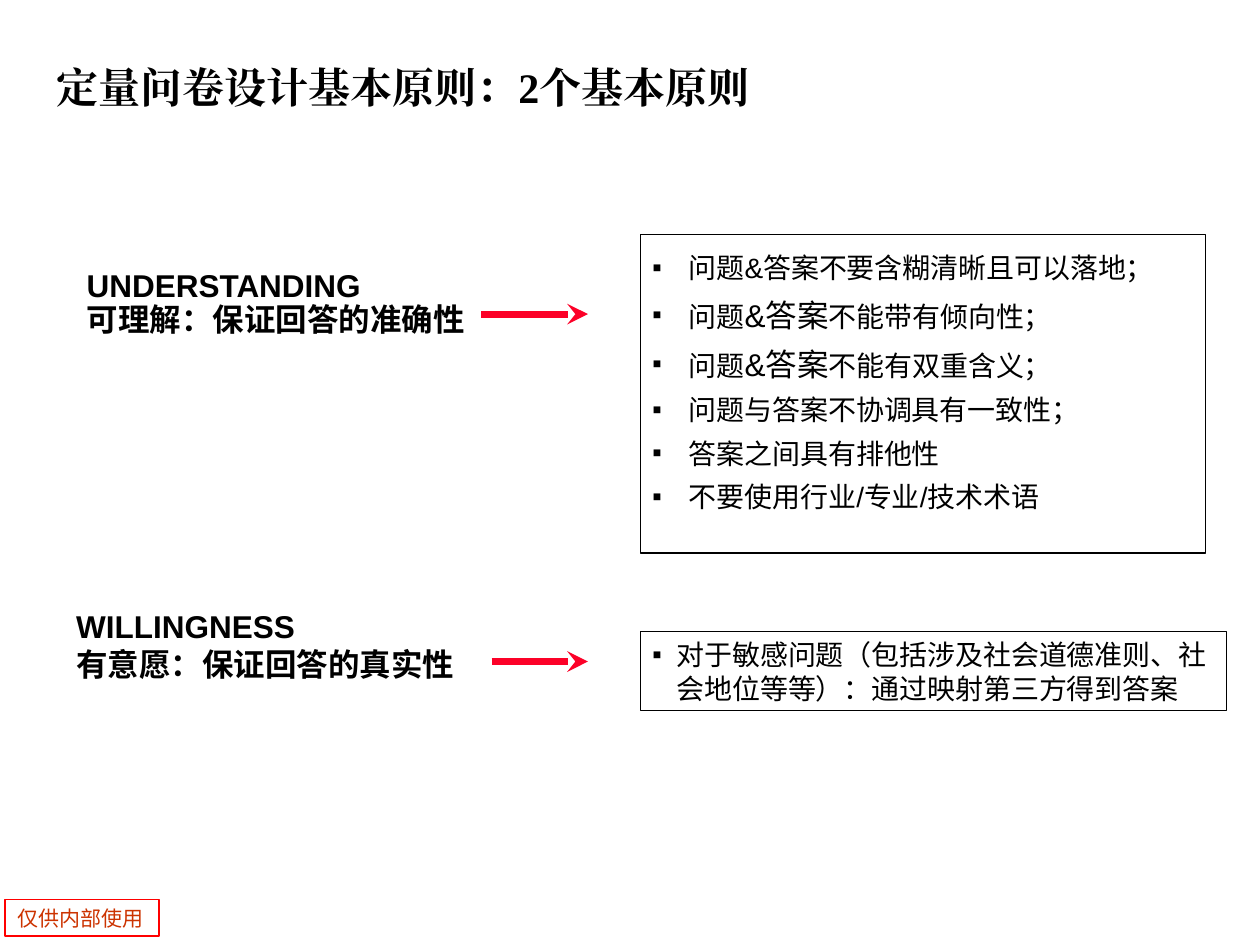
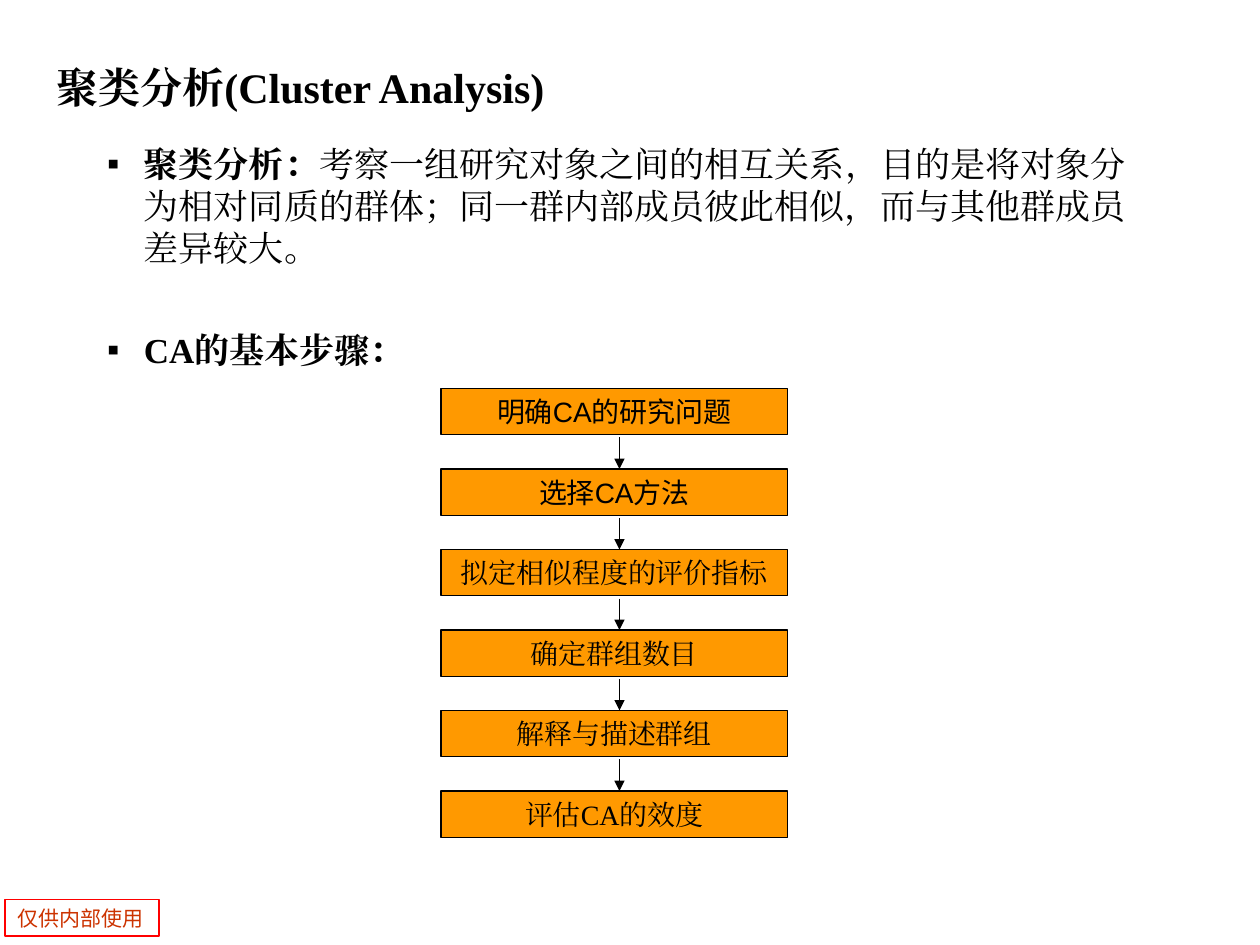
from dataclasses import dataclass, field
from typing import Any

from lxml.etree import SubElement
from pptx import Presentation
from pptx.dml.color import RGBColor
from pptx.enum.lang import MSO_LANGUAGE_ID as Lang
from pptx.enum.shapes import MSO_CONNECTOR as Link, MSO_SHAPE as Form
from pptx.enum.text import MSO_ANCHOR as Anchor, MSO_AUTO_SIZE as Fit, PP_ALIGN as Align
from pptx.oxml.ns import qn
from pptx.util import Pt

HEX = {"ink": "000000", "red": "FF0000", "rust": "CC3300",
       "arrow": "FC0128", "step": "FF9900"}
SANS, SERIF, HAN = "Arial", "Times New Roman", "Noto Sans CJK SC"


@dataclass(frozen=True)
class Box:
    left: float
    top: float
    width: float
    height: float

    def lengths(self) -> list[Pt]:
        return [Pt(n) for n in (self.left, self.top, self.width, self.height)]


@dataclass(frozen=True)
class Run:
    text: str
    size: float
    face: str = SANS
    bold: bool = False
    tint: str = "ink"


@dataclass(frozen=True)
class Bullet:
    mark: str
    hang: float
    scale: int = 100


@dataclass(frozen=True)
class Para:
    runs: list[Run]
    form: dict[str, Any] = field(default_factory=dict)
    bullet: Bullet | None = None


@dataclass(frozen=True)
class Label:
    box: Box
    lines: tuple[str, str]
    space: float


@dataclass(frozen=True)
class Arrow:
    start: tuple[float, float]
    end: tuple[float, float]
    tint: str
    weight: float
    head: str


TITLE = Box(25, 16.5, 680.5, 66)
BODY = Box(54, 78, 612, 150)
TAG = Box(3, 514, 88, 21)
TAG_RUN = Run("仅供内部使用", 12, HAN, tint="rust")

LABELS = [
    Label(Box(42.5, 151, 244, 46), ("UNDERSTANDING", "可理解：保证回答的准确性"), 0.9),
    Label(Box(36.5, 343.5, 244, 50), ("WILLINGNESS", "有意愿：保证回答的真实性"), 1.0),
]
RED_ARROWS = [
    Arrow((275, 179.5), (336, 179.5), "arrow", 4, "stealth"),
    Arrow((281, 378), (336, 378), "arrow", 4, "stealth"),
]
RULES_BOX = Box(366, 134, 323, 182)
RULES = [
    [Run("问题&答案不要含糊清晰且可以落地；", 16)],
    *[[Run("问题", 16), Run("&答案", 18), Run(end, 16)]
      for end in ("不能带有倾向性；", "不能有双重含义；")],
    *[[Run(text, 16)] for text in
      ("问题与答案不协调具有一致性；", "答案之间具有排他性", "不要使用行业/专业/技术术语")],
]
TOUCHY_BOX = Box(366, 361, 335, 45)
TOUCHY = "对于敏感问题（包括涉及社会道德准则、社会地位等等）：通过映射第三方得到答案"

STEPS = [
    ("明确CA的研究问题", SANS),
    ("选择CA方法", SANS),
    ("拟定相似程度的评价指标", SERIF),
    ("确定群组数目", SERIF),
    ("解释与描述群组", SERIF),
    ("评估CA的效度", SERIF),
]
FIRST = Box(252, 222, 198, 26.5)
PITCH = 46
ARROW_X = 354


def shade(name: str) -> RGBColor:
    return RGBColor.from_string(HEX[name])


def apply(target: Any, values: dict[str, Any]) -> None:
    for name, value in values.items():
        setattr(target, name, value)


def add_mark(para: Any, bullet: Bullet) -> None:
    props = para._p.get_or_add_pPr()
    props.set("marL", str(Pt(bullet.hang)))
    props.set("indent", str(-Pt(bullet.hang)))
    SubElement(SubElement(props, qn("a:buClr")), qn("a:srgbClr"), val=HEX["ink"])
    SubElement(props, qn("a:buSzPct"), val=str(bullet.scale * 1000))
    SubElement(props, qn("a:buFont"), typeface=SANS)
    SubElement(props, qn("a:buChar"), char=bullet.mark)


def add_run(para: Any, item: Run) -> None:
    run = para.add_run()
    run.text = item.text
    apply(run.font, {"size": Pt(item.size), "bold": item.bold, "name": item.face,
                     "language_id": Lang.SIMPLIFIED_CHINESE})
    run.font.color.rgb = shade(item.tint)
    SubElement(run.font._element, qn("a:ea"), typeface=item.face)


def write(shape: Any, paras: list[Para], anchor: Anchor = Anchor.TOP) -> None:
    frame = shape.text_frame
    apply(frame, {"word_wrap": True, "auto_size": Fit.NONE, "vertical_anchor": anchor})
    for i, item in enumerate(paras):
        para = frame.add_paragraph() if i else frame.paragraphs[0]
        if item.bullet:
            add_mark(para, item.bullet)
        apply(para, {"alignment": Align.LEFT, "space_before": Pt(0)} | item.form)
        for run in item.runs:
            add_run(para, run)


def place(shape: Any, box: Box) -> None:
    apply(shape, dict(zip(("left", "top", "width", "height"), box.lengths())))


def add_rect(slide: Any, box: Box, fill: str | None = None,
             edge: str = "ink", weight: float = 0.75) -> Any:
    rect = slide.shapes.add_shape(Form.RECTANGLE, *box.lengths())
    rect.shadow.inherit = False
    if fill:
        rect.fill.solid()
        rect.fill.fore_color.rgb = shade(fill)
    else:
        rect.fill.background()
    rect.line.color.rgb = shade(edge)
    rect.line.width = Pt(weight)
    return rect


def add_arrow(slide: Any, arrow: Arrow) -> None:
    ends = [Pt(n) for n in (*arrow.start, *arrow.end)]
    line = slide.shapes.add_connector(Link.STRAIGHT, *ends)
    line.line.color.rgb = shade(arrow.tint)
    line.line.width = Pt(arrow.weight)
    props = line.element.spPr
    SubElement(props.find(qn("a:ln")), qn("a:tailEnd"), type=arrow.head)
    SubElement(props, qn("a:effectLst"))


def add_page(deck: Any, layout: int, title: str) -> Any:
    slide = deck.slides.add_slide(deck.slide_layouts[layout])
    place(slide.shapes.title, TITLE)
    write(slide.shapes.title, [Para([Run(title, 24, SERIF, True)])], Anchor.MIDDLE)
    return slide


def add_tag(deck: Any, slide: Any) -> None:
    """Draw the internal-use tag and move it to the master, which all slides share."""
    tag = add_rect(slide, TAG, edge="red", weight=1)
    write(tag, [Para([TAG_RUN])], Anchor.MIDDLE)
    deck.slide_master.shapes.element.append(tag.element)


def add_rules(deck: Any) -> Any:
    slide = add_page(deck, 5, "定量问卷设计基本原则：2个基本原则")
    for arrow in RED_ARROWS:
        add_arrow(slide, arrow)
    for label in LABELS:
        text = slide.shapes.add_textbox(*label.box.lengths())
        write(text, [Para([Run(line, 18, bold=True)], {"line_spacing": label.space})
                     for line in label.lines])
    write(add_rect(slide, RULES_BOX),
          [Para(runs, {"line_spacing": 1.3}, Bullet("■", 20.5, 50)) for runs in RULES])
    write(add_rect(slide, TOUCHY_BOX),
          [Para([Run(TOUCHY, 16)], bullet=Bullet("■", 13.5, 50))])
    return slide


def add_cluster(deck: Any) -> None:
    slide = add_page(deck, 1, "聚类分析(Cluster Analysis)")
    body = slide.placeholders[1]
    place(body, BODY)
    mark = Bullet("▪", 21)
    write(body, [
        Para([Run("聚类分析：", 20, SERIF, True),
              Run("考察一组研究对象之间的相互关系，目的是将对象分为相对同质的群体；"
                  "同一群内部成员彼此相似，而与其他群成员差异较大。", 20, SERIF)],
             bullet=mark),
        Para([Run("CA的基本步骤：", 20, SERIF, True)], {"space_before": Pt(34)}, mark),
    ])
    for i, (text, face) in enumerate(STEPS):
        top = FIRST.top + i * PITCH
        step = add_rect(slide, Box(FIRST.left, top, FIRST.width, FIRST.height), "step")
        write(step, [Para([Run(text, 16, face)], {"alignment": Align.CENTER})])
        if i:
            start = top - PITCH + FIRST.height + 1.5
            add_arrow(slide, Arrow((ARROW_X, start), (ARROW_X, top),
                                   "ink", 0.75, "triangle"))


def main() -> None:
    deck = Presentation()
    apply(deck, {"slide_width": Pt(720), "slide_height": Pt(540)})
    add_tag(deck, add_rules(deck))
    add_cluster(deck)
    deck.save("out.pptx")


if __name__ == "__main__":
    main()
